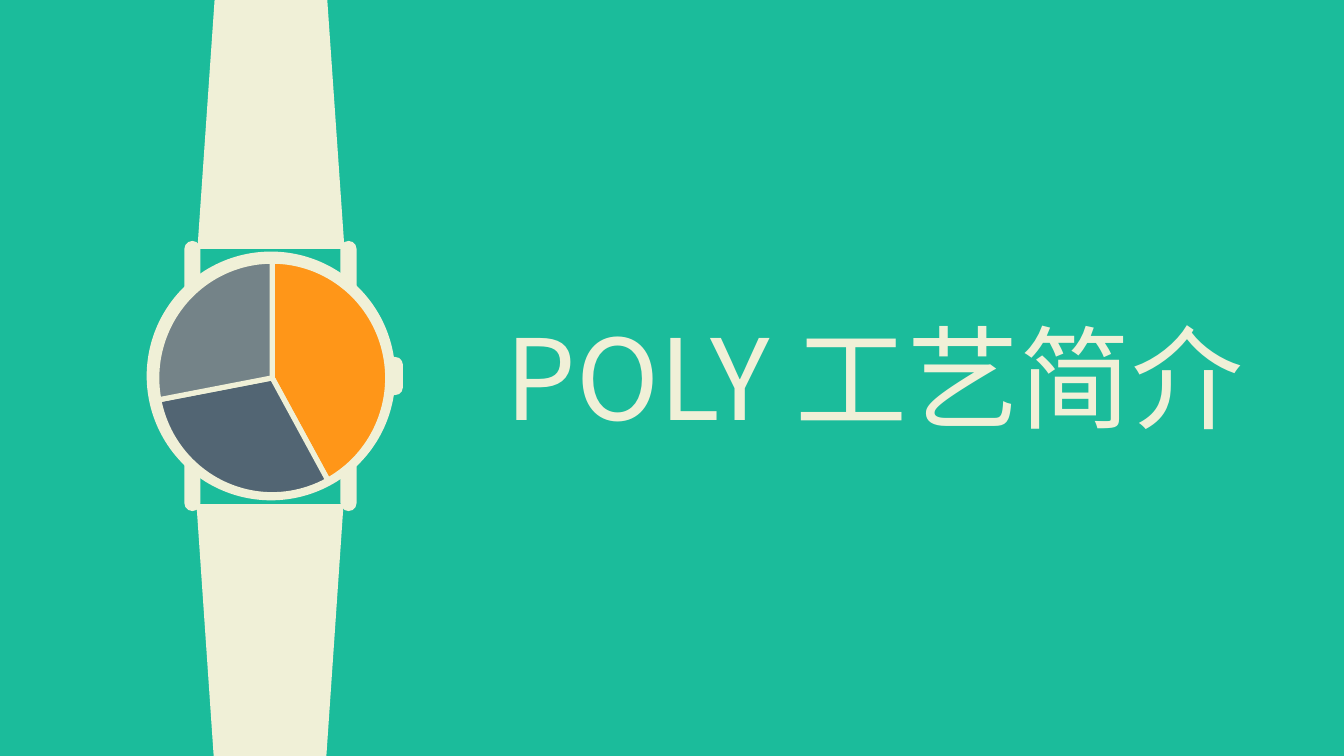
import pptx
import pptx.chart.data
import pptx.dml.color
import pptx.enum.chart
import pptx.enum.shapes
import pptx.enum.text
import pptx.oxml
import pptx.oxml.ns
import pptx.util

PX = 9144  # EMU per px, 100 px to the inch
THEME = {
    "background": "1BBC9B",
    "cream": "F0F0D7",
    "orange": "FF9618",
    "slate": "526573",
    "black": "000000",
    "title_font": "Noto Sans CJK SC",
    "chart_font": "Calibri",
    "title_size": 80,
    "chart_size": 10,
}
SHAPES = pptx.enum.shapes.MSO_SHAPE


def px(*lengths):
    return [pptx.util.Emu(length * PX) for length in lengths]


def color(name):
    return pptx.dml.color.RGBColor.from_string(THEME[name])


presentation = pptx.Presentation()
presentation.slide_width, presentation.slide_height = px(1334, 750)
slide = presentation.slides.add_slide(presentation.slide_layouts[6])
slide.background.fill.solid()
slide.background.fill.fore_color.rgb = color("background")

# Watch body: kind, box, adjustment, rotation, outline width
watch_parts = [
    (SHAPES.TRAPEZOID, (196, 0, 146, 247), 0.117, 0, 0),
    (SHAPES.OVAL, (147, 251, 244, 244), None, 0, 2),
    (SHAPES.ROUNDED_RECTANGLE, (183, 239, 16, 268), 0.5, 0, 0),
    (SHAPES.ROUNDED_RECTANGLE, (338, 239, 16, 268), 0.5, 0, 0),
    (SHAPES.TRAPEZOID, (195, 500, 146, 250), 0.117, 180, 0),
    (SHAPES.ROUNDED_RECTANGLE, (384, 354, 16, 38), 0.5, 0, 0),
]
for kind, box, adjustment, rotation, outline in watch_parts:
    shape = slide.shapes.add_shape(kind, *px(*box))
    shape.shadow.inherit = False
    shape.rotation = rotation
    if adjustment is not None:
        shape.adjustments[0] = adjustment
    shape.fill.solid()
    shape.fill.fore_color.rgb = color("cream")
    if outline:
        shape.line.color.rgb = color("cream")
        shape.line.width = pptx.util.Pt(outline)
    else:
        shape.line.fill.background()

# Title
title = slide.shapes.add_textbox(*px(492, 301, 843, 145))
title.text_frame.word_wrap = True
title.text_frame.auto_size = pptx.enum.text.MSO_AUTO_SIZE.SHAPE_TO_FIT_TEXT
run = title.text_frame.paragraphs[0].add_run()
run.text = "POLY 工艺简介"
title_format = {"name": THEME["title_font"], "size": pptx.util.Pt(THEME["title_size"])}
for attribute, value in title_format.items():
    setattr(run.font, attribute, value)
run.font.color.rgb = color("cream")
east_asian = pptx.oxml.parse_xml(
    f'<a:ea {pptx.oxml.ns.nsdecls("a")} typeface="{THEME["title_font"]}"/>')
run.font._element.append(east_asian)

# Watch face
chart_data = pptx.chart.data.CategoryChartData()
chart_data.categories = ["1", "2", "3"]
chart_data.add_series("Series 1", [42, 30, 28])
chart = slide.shapes.add_chart(
    pptx.enum.chart.XL_CHART_TYPE.PIE, *px(153, 244, 244, 252), chart_data).chart
chart.has_legend = False
chart.has_title = False
chart_format = {"name": THEME["chart_font"], "size": pptx.util.Pt(THEME["chart_size"])}
for attribute, value in chart_format.items():
    setattr(chart.font, attribute, value)
chart.font.color.rgb = color("black")

pie = chart.plots[0]
pie.vary_by_categories = True
for index, (name, opacity) in enumerate([("orange", 100), ("slate", 100), ("slate", 78)]):
    slice_format = pie.series[0].points[index].format
    slice_format.fill.solid()
    slice_format.fill.fore_color.rgb = color(name)
    slice_format.line.color.rgb = color("cream")
    slice_format.line.width = pptx.util.Pt(3.75)
    if opacity < 100:
        alpha = pptx.oxml.parse_xml(
            f'<a:alpha {pptx.oxml.ns.nsdecls("a")} val="{opacity * 1000}"/>')
        slice_format.fill._xPr.find(".//" + pptx.oxml.ns.qn("a:srgbClr")).append(alpha)

plot_area = chart._chartSpace.chart.plotArea
for layout in plot_area.findall(pptx.oxml.ns.qn("c:layout")):
    plot_area.remove(layout)
plot_area.insert(0, pptx.oxml.parse_xml(
    f'<c:layout {pptx.oxml.ns.nsdecls("c")}><c:manualLayout>'
    '<c:layoutTarget val="inner"/><c:xMode val="edge"/><c:yMode val="edge"/>'
    '<c:x val="0"/><c:y val="0.04"/><c:w val="0.95"/><c:h val="0.96"/>'
    '</c:manualLayout></c:layout>'))

presentation.save("out.pptx")
